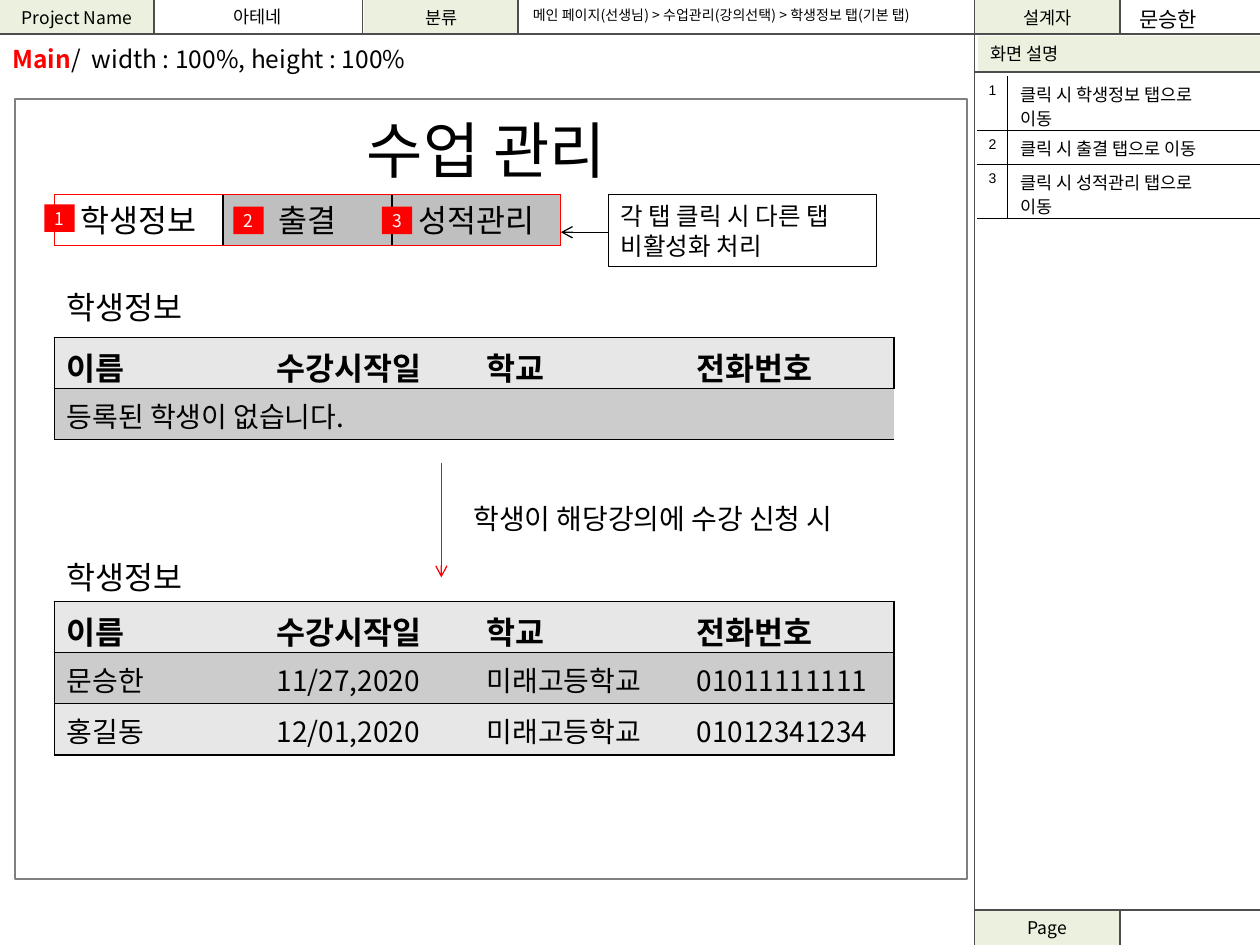
import pptx
import pptx.dml.color
import pptx.enum.shapes
import pptx.enum.text
import pptx.oxml
import pptx.oxml.ns
import pptx.util

Pt = pptx.util.Pt
ALIGN = pptx.enum.text.PP_ALIGN
ANCHOR = pptx.enum.text.MSO_ANCHOR
SANS = "Noto Sans CJK KR"
COLORS = {"green": "EBF1DE", "rule": "4D4D4D", "frame": "808080", "black": "000000",
          "white": "FFFFFF", "red": "FF0000", "tab": "BFBFBF",
          "light": "E7E7E7", "dark": "CCCCCC"}
NO_STYLE = "{2D5ABB26-0587-4C30-8999-92F81FD0307C}"

# Header and side panel: text, (left, top, width, height), fill, alignment
LABELS = [
    ("Page", (557, 520.5, 83, 19.5), "green", "CENTER"),
    ("설계자", (557, 0, 83, 19.5), "green", "CENTER"),
    ("화면 설명", (559, 20.5, 161, 20.5), "green", "LEFT"),
    ("분류", (208, 0, 88.5, 19.5), "green", "CENTER"),
    ("아테네", (88, 0.5, 118.5, 18), None, "CENTER"),
    ("Project Name", (0, 0, 88, 19.5), "green", "CENTER"),
]
RULES = [(640, 520, 640, 540), (0, 19.5, 720, 19.5), (207.2, 0, 207.2, 19.5),
         (88, 0, 88, 19.5), (296, 0, 296, 19.5), (557, 41.2, 720, 41.2),
         (640, 0, 640, 19.5), (557, 0, 557, 540), (557, 520, 720, 520)]
NOTES = ["클릭 시 학생정보 탭으로\n이동", "클릭 시 출결 탭으로 이동", "클릭 시 성적관리 탭으로\n이동"]
NOTE_HEIGHTS = [31, 19.5, 31]

TABS = [("학생정보", None), ("출결", "tab"), ("성적관리", "tab")]
TAB_LEFT, TAB_TOP, TAB_WIDTH, TAB_HEIGHT = 31, 111.3, 96.5, 29
MARKERS = [(25.4, 116.8), (133.4, 118), (218.3, 118)]
TEXTS = [
    ("문승한", (644, 0, 68, 21.6), 12, "LEFT"),
    ("메인 페이지(선생님) > 수업관리(강의선택) > 학생정보 탭(기본 탭)",
     (297.4, 0, 255, 17), 8, "LEFT"),
    ("수업 관리", (3, 60.5, 550, 49.7), 35, "CENTER"),
    ("학생정보", (31, 161.3, 124.5, 29), 18, "LEFT"),
    ("학생정보", (31, 315.3, 124.5, 29), 18, "LEFT"),
    ("학생이 해당강의에 수강 신청 시", (263.5, 283, 263.5, 26.6), 16, "LEFT"),
]
HEADINGS = ["이름", "수강시작일", "학교", "전화번호"]
EMPTY = ["등록된 학생이 없습니다."]
STUDENTS = [["문승한", "11/27,2020", "미래고등학교", "01011111111"],
            ["홍길동", "12/01,2020", "미래고등학교", "01012341234"]]

deck = pptx.Presentation()
deck.slide_width, deck.slide_height = Pt(720), Pt(540)
page = deck.slides.add_slide(deck.slide_layouts[6])


def rgb(name):
    """Return the named colour."""
    return pptx.dml.color.RGBColor.from_string(COLORS[name])


def xml(parent, tag, **attributes):
    """Append a drawing element and return it."""
    child = pptx.oxml.parse_xml(f"<a:{tag} {pptx.oxml.ns.nsdecls('a')}/>")
    for key, value in attributes.items():
        child.set(key, str(value))
    parent.append(child)
    return child


def write(frame, text, size=10, color="black", bold=False, align="LEFT", font=SANS,
          spacing=None):
    """Put text in a frame, one paragraph for each line."""
    for index, line in enumerate(text.split("\n")):
        para = frame.add_paragraph() if index else frame.paragraphs[0]
        para.alignment = getattr(ALIGN, align)
        if spacing:
            para.line_spacing = Pt(spacing)
        add_span(para, line, size, color, bold, font)


def add_span(para, text, size, color, bold=False, font=SANS):
    """Add one formatted run to a paragraph."""
    span = para.add_run()
    span.text = text
    span.font.size, span.font.bold, span.font.name = Pt(size), bold, font
    span.font.color.rgb = rgb(color)
    xml(span.font._element, "ea", typeface=font)


def add_box(place, fill=None, line=None, width=0.75, anchor="TOP", inset=7.2):
    """Add a rectangle and return it."""
    box = page.shapes.add_shape(pptx.enum.shapes.MSO_SHAPE.RECTANGLE, *map(Pt, place))
    box.shadow.inherit = False
    for part, color in ((box.fill, fill), (box.line.fill, line)):
        if color:
            part.solid()
            part.fore_color.rgb = rgb(color)
        else:
            part.background()
    if line:
        box.line.width = Pt(width)
    frame = box.text_frame
    frame.word_wrap = True
    frame.vertical_anchor = getattr(ANCHOR, anchor)
    frame.margin_left = frame.margin_right = Pt(inset)
    return box


def add_text(text, place, wrap=True, **style):
    """Add a text box."""
    frame = page.shapes.add_textbox(*map(Pt, place)).text_frame
    frame.word_wrap = wrap
    write(frame, text, **style)
    return frame


def add_line(ends, color="rule", arrow=False):
    """Add a straight line, with an arrowhead at its end if wanted."""
    line = page.shapes.add_connector(pptx.enum.shapes.MSO_CONNECTOR.STRAIGHT, *map(Pt, ends))
    line.line.color.rgb = rgb(color)
    line.line.width = Pt(0.75)
    if arrow:
        xml(line.line._get_or_add_ln(), "tailEnd", type="arrow")
    xml(line._element.spPr, "effectLst")


def add_grid(left, top, widths, heights):
    """Add an unstyled table and return it."""
    table = page.shapes.add_table(len(heights), len(widths), Pt(left), Pt(top),
                                  Pt(sum(widths)), Pt(sum(heights))).table
    table.first_row = table.horz_banding = False
    table._tbl.tblPr.find(pptx.oxml.ns.qn("a:tableStyleId")).text = NO_STYLE
    for column, width in zip(table.columns, widths):
        column.width = Pt(width)
    for row, height in zip(table.rows, heights):
        row.height = Pt(height)
    return table


def format_cell(cell, sides, width, fill=None, bottom=0):
    """Set borders on the given sides (L, R, T, B), then the fill."""
    properties = cell._tc.get_or_add_tcPr()
    for side in "LRTB":
        if side in sides:
            border = xml(properties, "ln" + side, w=int(Pt(width)))
            xml(xml(border, "solidFill"), "srgbClr", val=COLORS["black"])
    cell.margin_bottom = Pt(bottom)
    if fill:
        cell.fill.solid()
        cell.fill.fore_color.rgb = rgb(fill)
    else:
        cell.fill.background()


def add_students(top, rows):
    """Add a student table with its heading row."""
    lines = [HEADINGS] + rows
    table = add_grid(31, top, [120] * 4, [29.2] * len(lines))
    for r, values in enumerate(lines):
        for c in range(4):
            cell = table.cell(r, c)
            sides = "TB" + ("L" if c == 0 else "R" if c == 3 else "")
            format_cell(cell, sides, 1, "dark" if r % 2 else "light")
            if c < len(values):
                write(cell.text_frame, values[c], size=16 if r else 18, bold=r == 0)
        if len(values) == 1:
            table.cell(r, 0).merge(table.cell(r, 3))


for text, place, fill, align in LABELS:
    box = add_box(place, fill, anchor="MIDDLE", inset=7.2)
    write(box.text_frame, text, align=align)
for ends in RULES:
    add_line(ends)

notes = add_grid(558.5, 43.4, [17.3, 144.2], NOTE_HEIGHTS)
for r, note in enumerate(NOTES):
    number, detail = notes.cell(r, 0), notes.cell(r, 1)
    format_cell(number, "RB", 0.75)
    number.margin_left = number.margin_right = Pt(2.9)
    write(number.text_frame, str(r + 1), size=8, font="Arial", align="CENTER")
    format_cell(detail, "LB", 0.75)
    write(detail.text_frame, note, spacing=13.7)

add_box((8.5, 56.7, 544.3, 445.7), "white", "frame", 1)
size_note = add_text("Main", (0, 21.6, 245, 24.5), wrap=False, size=14, color="red", bold=True)
add_span(size_note.paragraphs[0], "/  width : 100%, height : 100%", 14, "black")
for index, (text, fill) in enumerate(TABS):
    tab = add_box((TAB_LEFT + index * TAB_WIDTH, TAB_TOP, TAB_WIDTH, TAB_HEIGHT), fill, "black")
    write(tab.text_frame, text, size=18, align="CENTER")
for text, place, size, align in TEXTS:
    add_text(text, place, size=size, align=align)

add_students(343.7, STUDENTS)
add_students(192.8, [EMPTY])
add_line((252.2, 264.5, 252.2, 330), "red", arrow=True)

callout = add_box((347.7, 111.3, 153.4, 41.2), None, "black", anchor="MIDDLE")
write(callout.text_frame, "각 탭 클릭 시 다른 탭 비활성화 처리", size=14, spacing=16.8)
add_line((348.2, 132.7, 320.5, 132.7), "black", arrow=True)
add_box((TAB_LEFT, TAB_TOP, TAB_WIDTH * len(TABS), TAB_HEIGHT), None, "red")
for number, (left, top) in enumerate(MARKERS, 1):
    marker = add_box((left, top, 17.3, 15.8), "red", anchor="MIDDLE", inset=0)
    write(marker.text_frame, str(number), color="white", align="CENTER")

deck.save("out.pptx")
